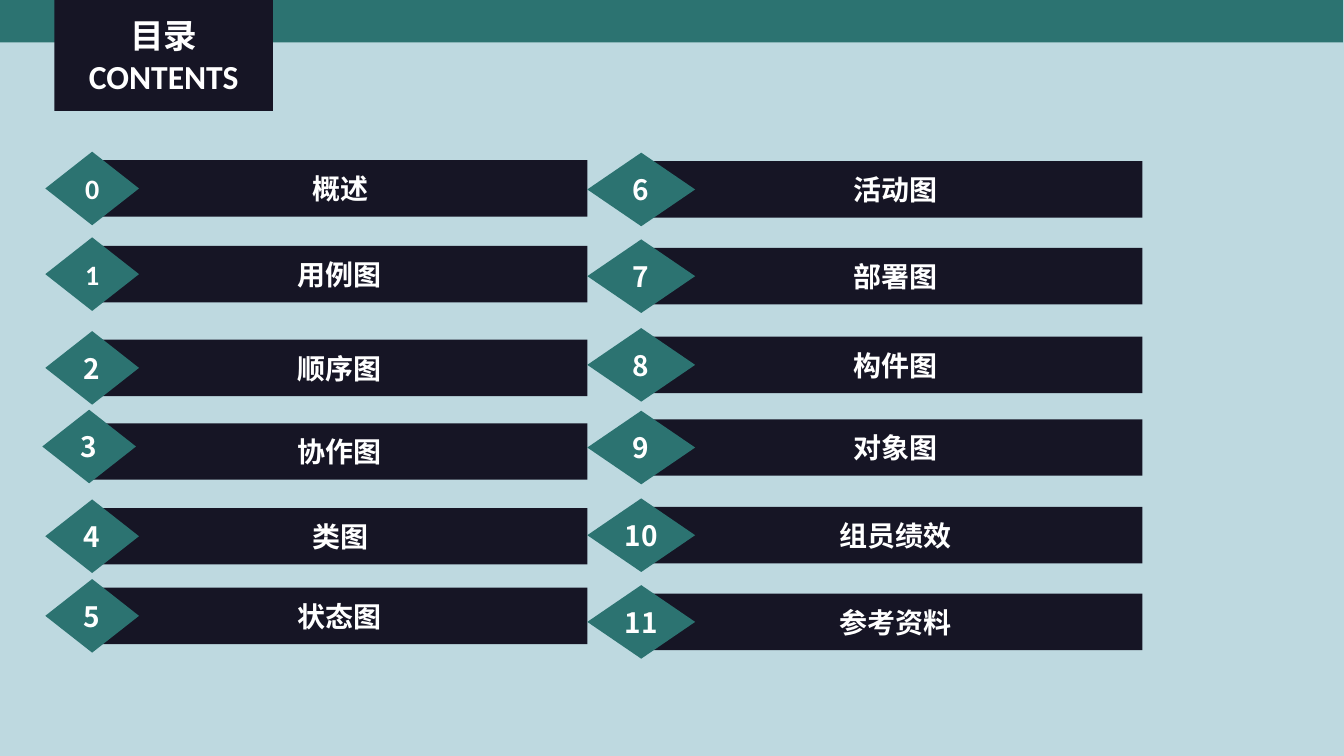
from lxml import etree
from pptx import Presentation
from pptx.dml.color import RGBColor
from pptx.enum.shapes import MSO_SHAPE
from pptx.enum.text import MSO_ANCHOR, PP_ALIGN
from pptx.oxml.ns import qn
from pptx.util import Inches, Pt

RECTANGLE, DIAMOND = MSO_SHAPE.RECTANGLE, MSO_SHAPE.DIAMOND
MIDDLE, CENTER = MSO_ANCHOR.MIDDLE, PP_ALIGN.CENTER

COLORS = {"ground": "BED9E0", "teal": "2C7371", "navy": "161525", "white": "FFFFFF"}
CHINESE, LATIN = "Noto Sans CJK SC", "Calibri"

BAR_WIDTH, BAR_HEIGHT, BADGE_HEIGHT = 4.91, 0.56, 0.73
LEFT_COLUMN = {"bar_left": 0.92, "badge_left": 0.45, "badge_width": 0.93}
RIGHT_COLUMN = {"bar_left": 6.43, "badge_left": 5.83, "badge_width": 1.07}

LEFT_ENTRIES = [("概述", 1.59), ("用例图", 2.44), ("顺序图", 3.37),
                ("协作图", 4.2), ("类图", 5.04), ("状态图", 5.83)]
RIGHT_ENTRIES = [("活动图", 1.6), ("部署图", 2.46), ("构件图", 3.34),
                 ("对象图", 4.16), ("组员绩效", 5.03), ("参考资料", 5.89)]
LATIN_BADGES = {0, 1}
BADGE_SHIFTS = {3: (-0.03, -0.05)}


class ContentsSlide:
    def __init__(self, deck):
        self.page = deck.slides.add_slide(deck.slide_layouts[6])
        self.paint(self.page.background.fill, "ground")

    def paint(self, fill, color):
        fill.solid()
        fill.fore_color.rgb = RGBColor.from_string(COLORS[color])

    def box(self, shapes, kind, bounds, color):
        box = shapes.add_shape(kind, *map(Inches, bounds))
        box.shadow.inherit = False
        self.paint(box.fill, color)
        box.line.fill.background()
        return box

    def label(self, box, lines, size, wrap=True):
        frame = box.text_frame
        frame.word_wrap = wrap
        frame.vertical_anchor = MIDDLE
        for index, (text, typeface) in enumerate(lines):
            para = frame.paragraphs[0] if index == 0 else frame.add_paragraph()
            para.text = text
            para.alignment = CENTER
            font = para.font
            font.name, font.size, font.bold = typeface, Pt(size), True
            font.color.rgb = RGBColor.from_string(COLORS["white"])
            properties = para._p.pPr.find(qn("a:defRPr"))
            etree.SubElement(properties, qn("a:ea"), typeface=typeface)

    def header(self):
        self.box(self.page.shapes, RECTANGLE, (0, 0, 13.33, 0.42), "teal")
        title = self.box(self.page.shapes, RECTANGLE, (0.54, 0, 2.17, 1.1), "navy")
        self.label(title, [("目录", CHINESE), ("CONTENTS", LATIN)], 24)

    def entry(self, number, topic, top, column):
        shapes = self.page.shapes.add_group_shape().shapes
        bar = self.box(shapes, RECTANGLE,
                       (column["bar_left"], top, BAR_WIDTH, BAR_HEIGHT), "navy")
        self.label(bar, [(topic, CHINESE)], 20)
        shift_x, shift_y = BADGE_SHIFTS.get(number, (0, 0))
        badge_top = top - (BADGE_HEIGHT - BAR_HEIGHT) / 2 + shift_y
        badge = self.box(shapes, DIAMOND,
                         (column["badge_left"] + shift_x, badge_top,
                          column["badge_width"], BADGE_HEIGHT), "teal")
        typeface = LATIN if number in LATIN_BADGES else CHINESE
        self.label(badge, [(str(number), typeface)], 20, wrap=False)

    def entries(self, first, items, column):
        for number, (topic, top) in enumerate(items, first):
            self.entry(number, topic, top, column)


def main():
    deck = Presentation()
    deck.slide_width, deck.slide_height = Inches(13.34), Inches(7.5)
    contents = ContentsSlide(deck)
    contents.header()
    contents.entries(0, LEFT_ENTRIES, LEFT_COLUMN)
    contents.entries(len(LEFT_ENTRIES), RIGHT_ENTRIES, RIGHT_COLUMN)
    deck.save("out.pptx")


if __name__ == "__main__":
    main()
